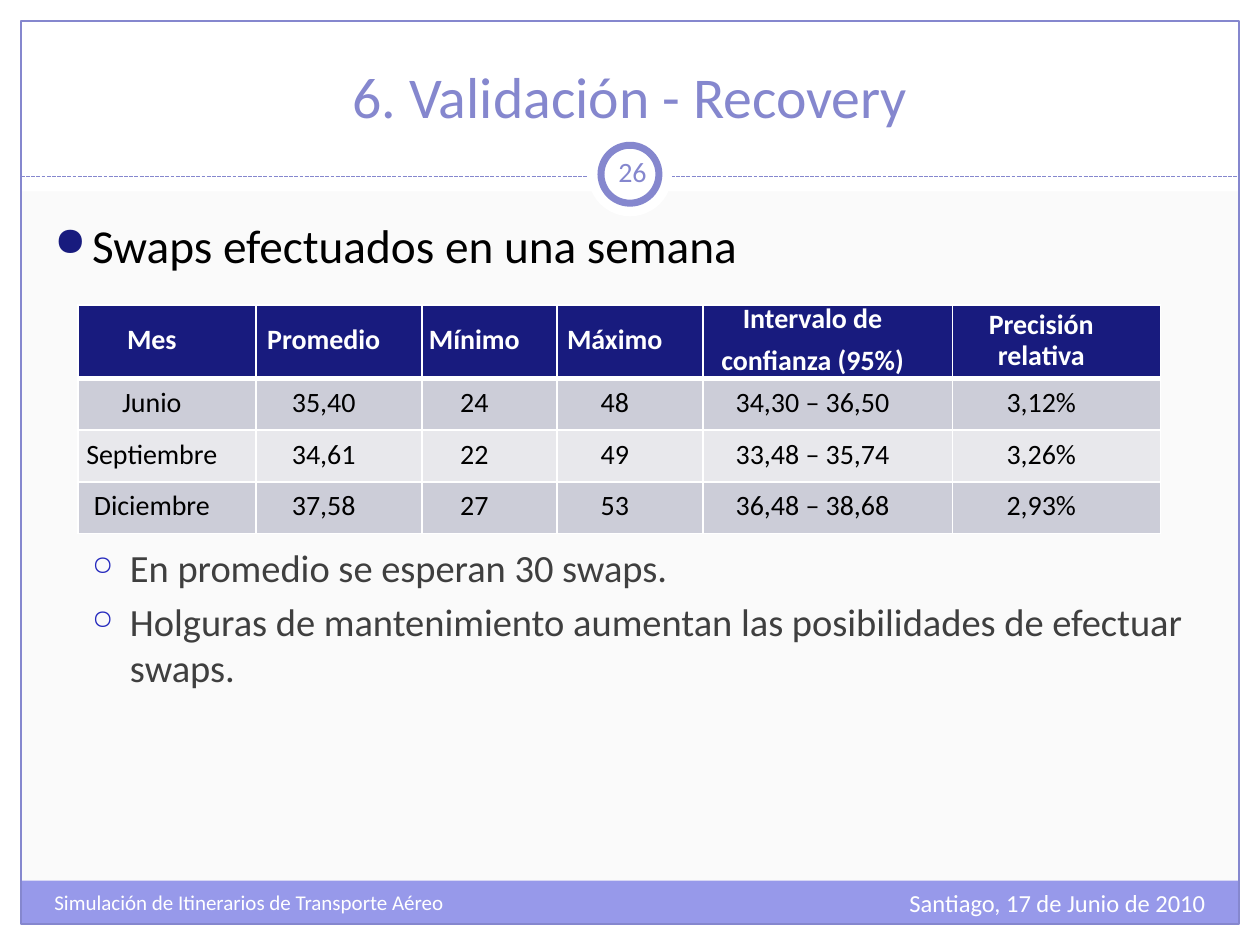
import dataclasses

import lxml.etree
import pptx
import pptx.dml.color
import pptx.enum.dml
import pptx.enum.shapes
import pptx.enum.text
import pptx.oxml.ns
import pptx.util

Align = pptx.enum.text.PP_ALIGN
Anchor = pptx.enum.text.MSO_ANCHOR
Shape = pptx.enum.shapes.MSO_SHAPE
Pt = pptx.util.Pt
qn = pptx.oxml.ns.qn


@dataclasses.dataclass(frozen=True)
class Theme:
    font: str = "Calibri"
    back: str = "FAFAFA"
    white: str = "FFFFFF"
    black: str = "000000"
    gray: str = "3F3F3F"
    accent: str = "8587CE"
    band: str = "9799EA"
    navy: str = "181B7E"
    blue: str = "2529BD"
    odd: str = "CCCDD8"
    even: str = "E8E8EC"
    title: int = 33
    lead: int = 27
    item: int = 22
    cell: int = 16
    date: int = 14
    foot: int = 12


THEME = Theme()
COLS, ROWS = 60, 45
WIDTHS = [8.46, 7.92, 6.42, 6.96, 11.88, 9.9]
HEIGHTS = [3.42, 2.46, 2.46, 2.46]
DATA = [
    ["Mes", "Promedio", "Mínimo", "Máximo",
     "Intervalo de\nconfianza (95%)", "Precisión relativa"],
    ["Junio", "35,40", "24", "48", "34,30 – 36,50", "3,12%"],
    ["Septiembre", "34,61", "22", "49", "33,48 – 35,74", "3,26%"],
    ["Diciembre", "37,58", "27", "53", "36,48 – 38,68", "2,93%"],
]


def grid(*spots):
    return [pptx.util.Inches(spot / 6) for spot in spots]


def rgb(code):
    return pptx.dml.color.RGBColor.from_string(code)


def style(para, size, color, bold=False):
    for run in para.runs:
        run.font.name = THEME.font
        run.font.size = Pt(size)
        run.font.bold = bold
        run.font.color.rgb = rgb(color)


def add_block(slide, kind, spot, fill=None, line=None, width=0.75):
    block = slide.shapes.add_shape(kind, *grid(*spot))
    block.shadow.inherit = False
    if fill:
        block.fill.solid()
        block.fill.fore_color.rgb = rgb(fill)
    else:
        block.fill.background()
    if line:
        block.line.color.rgb = rgb(line)
        block.line.width = Pt(width)
    else:
        block.line.fill.background()


def add_rule(slide, left, right, row):
    kind = pptx.enum.shapes.MSO_CONNECTOR.STRAIGHT
    rule = slide.shapes.add_connector(kind, *grid(left, row, right, row))
    rule.line.color.rgb = rgb(THEME.accent)
    rule.line.width = Pt(0.75)
    rule.line.dash_style = pptx.enum.dml.MSO_LINE.SQUARE_DOT
    props = rule._element.spPr
    lxml.etree.SubElement(props, qn("a:effectLst"))


def add_frame(slide, spot, anchor=Anchor.TOP):
    frame = slide.shapes.add_textbox(*grid(*spot)).text_frame
    frame.word_wrap = True
    frame.vertical_anchor = anchor
    return frame


def add_label(slide, spot, text, size, color, align=Align.LEFT, anchor=Anchor.TOP):
    frame = add_frame(slide, spot, anchor)
    frame.text = text
    para = frame.paragraphs[0]
    para.alignment = align
    style(para, size, color)
    return frame


def set_bullet(para, char, color, share, level):
    props = para._p.get_or_add_pPr()
    step = pptx.util.Inches(0.3)
    props.set("marL", str(step * (level + 1)))
    props.set("indent", str(-step))
    tint = lxml.etree.SubElement(props, qn("a:buClr"))
    lxml.etree.SubElement(tint, qn("a:srgbClr"), val=color)
    lxml.etree.SubElement(props, qn("a:buSzPct"), val=str(share * 1000))
    lxml.etree.SubElement(props, qn("a:buChar"), char=char)


def add_list(slide, spot):
    lead = ("●", THEME.navy, 85, 0)
    item = ("○", THEME.blue, 70, 1)
    lines = [
        ("Swaps efectuados en una semana", THEME.lead, THEME.black, 0, lead),
        ("En promedio se esperan 30 swaps.", THEME.item, THEME.gray, 155, item),
        ("Holguras de mantenimiento aumentan las posibilidades de efectuar swaps.",
         THEME.item, THEME.gray, 4.4, item),
    ]
    frame = add_frame(slide, spot)
    frame.text = "\n".join(line[0] for line in lines)
    for para, (_, size, color, gap, mark) in zip(frame.paragraphs, lines):
        para.space_before = Pt(gap)
        set_bullet(para, *mark)
        style(para, size, color)


def set_edges(cell, base):
    props = cell._tc.get_or_add_tcPr()
    for side, width in zip("LRTB", (1, 1, 1, base)):
        edge = lxml.etree.SubElement(props, qn("a:ln" + side), w=str(Pt(width)))
        fill = lxml.etree.SubElement(edge, qn("a:solidFill"))
        lxml.etree.SubElement(fill, qn("a:srgbClr"), val=THEME.white)


def fill_cell(cell, text, row):
    head = row == 0
    set_edges(cell, 3 if head else 1)
    cell.fill.solid()
    shade = THEME.odd if row % 2 else THEME.even
    cell.fill.fore_color.rgb = rgb(THEME.navy if head else shade)
    cell.vertical_anchor = Anchor.MIDDLE
    cell.margin_left, cell.margin_right = grid(0.3, 1.74)
    cell.margin_top = cell.margin_bottom = 0
    cell.text_frame.text = text
    for para in cell.text_frame.paragraphs:
        para.alignment = Align.CENTER
        para.line_spacing = Pt(18)
        para.space_before = Pt(6)
        style(para, THEME.cell, THEME.white if head else THEME.black, head)


def add_grid(slide, left, top):
    spot = grid(left, top, sum(WIDTHS), sum(HEIGHTS))
    table = slide.shapes.add_table(len(DATA), len(WIDTHS), *spot).table
    for col, width in zip(table.columns, grid(*WIDTHS)):
        col.width = width
    for line, height in zip(table.rows, grid(*HEIGHTS)):
        line.height = height
    for row, texts in enumerate(DATA):
        for col, text in enumerate(texts):
            fill_cell(table.cell(row, col), text, row)


def add_decor(slide):
    rect, oval = Shape.RECTANGLE, Shape.OVAL
    for spot in [(0, 44, COLS, 1), (0, 0, COLS, 9.12),
                 (0, 0, 1, ROWS), (59, 0, 1, ROWS)]:
        add_block(slide, rect, spot, THEME.white)
    add_block(slide, rect, (1, 41.94, 58, 2.06), THEME.band)
    add_block(slide, rect, (1, 1, 58, 43), line=THEME.accent)
    add_rule(slide, 1, 59, 8.4)
    add_block(slide, oval, (28, 6.3, 4, 4), THEME.white)
    add_block(slide, oval, (28.62, 6.92, 2.76, 2.76), THEME.white, THEME.accent, 4)


def main():
    deck = pptx.Presentation()
    deck.slide_width, deck.slide_height = grid(COLS, ROWS)
    slide = deck.slides.add_slide(deck.slide_layouts[6])
    slide.background.fill.solid()
    slide.background.fill.fore_color.rgb = rgb(THEME.back)
    add_decor(slide)
    add_label(slide, (2, 1.5, 56, 5), "6. Validación - Recovery",
              THEME.title, THEME.accent, Align.CENTER, Anchor.BOTTOM)
    add_label(slide, (38, 42, 20, 2.4), "Santiago, 17 de Junio de 2010",
              THEME.date, THEME.white, Align.RIGHT)
    add_label(slide, (2, 42.06, 23.5, 2.4),
              "Simulación de Itinerarios de Transporte Aéreo",
              THEME.foot, THEME.white)
    page = add_label(slide, (28.62, 6.72, 3, 2.88), "26", THEME.cell,
                     THEME.accent, Align.CENTER, Anchor.MIDDLE)
    page.margin_left = page.margin_right = grid(0.3)[0]
    add_list(slide, (2, 10, 55.8, 30))
    add_grid(slide, 3.72, 14.52)
    deck.save("out.pptx")


if __name__ == "__main__":
    main()
